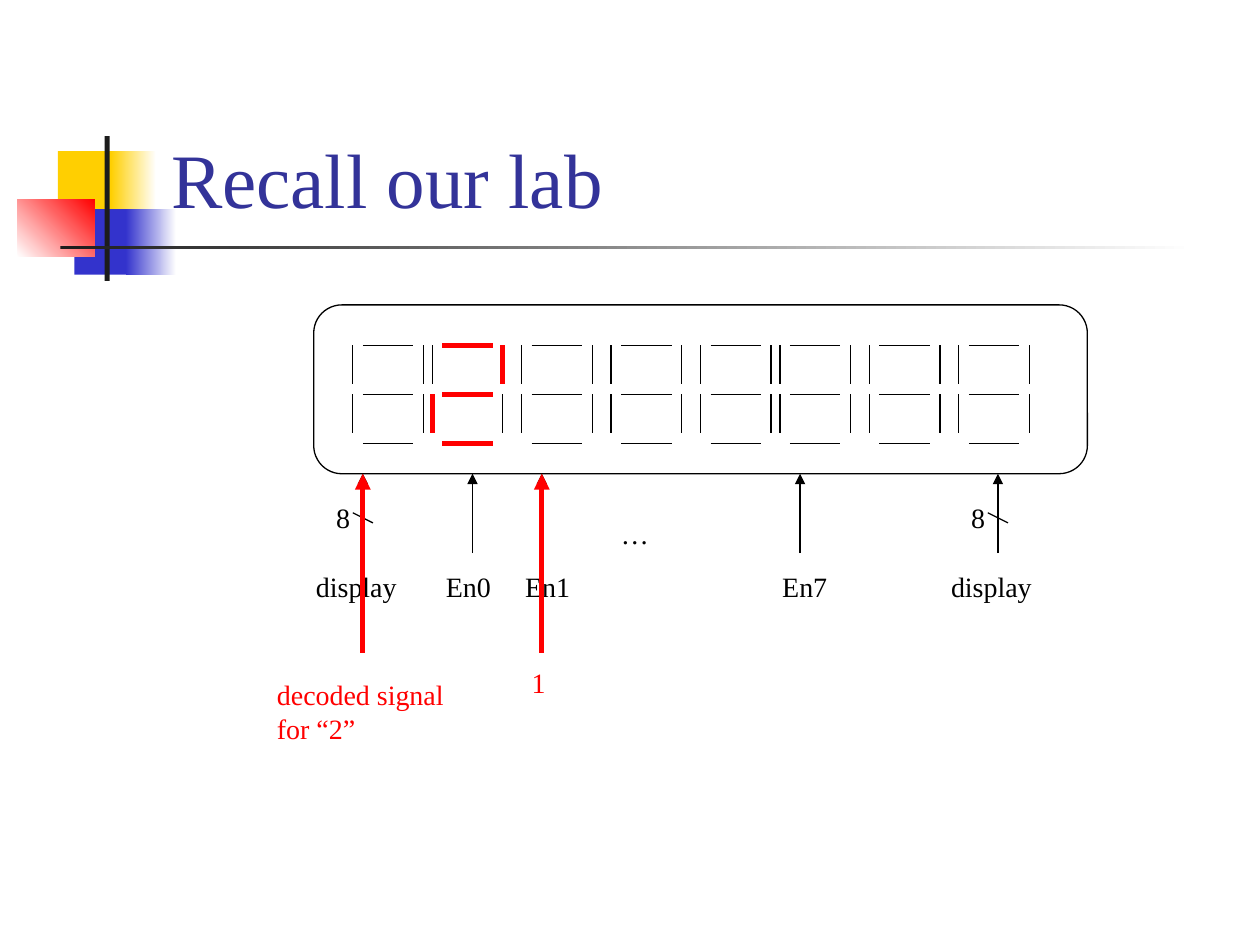
from typing import NamedTuple, Optional

from lxml.etree import SubElement
from pptx import Presentation
from pptx.dml.color import RGBColor
from pptx.enum.shapes import MSO_CONNECTOR, MSO_SHAPE
from pptx.enum.text import MSO_ANCHOR, MSO_AUTO_SIZE
from pptx.oxml.ns import qn
from pptx.slide import Slide
from pptx.util import Inches, Pt

COLORS = {
    "yellow": "FFCF01",
    "blue": "3333CC",
    "red": "FF0000",
    "charcoal": "1C1C1C",
    "white": "FFFFFF",
    "title": "333399",
    "black": "000000",
}
FONT = "Times New Roman"
THIN, THICK = 0.75, 3

DISPLAY_TOP, DISPLAY_HEIGHT = 2.42, 1.34
DISPLAY_BOTTOM = DISPLAY_TOP + DISPLAY_HEIGHT
DIGIT_TOP, ROW_PITCH = 2.74, 0.39
DIGIT_WIDTH, SEGMENT_INSET, UPRIGHT_LENGTH = 0.56, 0.08, 0.31
DIGIT_LEFTS = (2.8, 3.43, 4.14, 4.85, 5.56, 6.19, 6.9, 7.61)
LIT_DIGIT = 1
LIT_SEGMENTS = "abged"
SIGNAL_BOTTOM, HIGHLIGHT_BOTTOM = 4.39, 5.18
LABEL_TOP, LABEL_HEIGHT = 4.47, 0.37


class Block(NamedTuple):
    left: float
    top: float
    width: float
    height: float
    color: str
    fade_to: Optional[str] = None
    angle: float = 0


class Segment(NamedTuple):
    name: str
    x1: float
    y1: float
    x2: float
    y2: float


class Label(NamedTuple):
    text: str
    left: float
    top: float
    width: float
    height: float = LABEL_HEIGHT
    color: str = "black"


class Signal(NamedTuple):
    x: float
    name: str
    label_left: float
    label_width: float
    is_bus: bool = False


DECORATION = (
    Block(0.46, 1.2, 0.48, 0.52, "yellow"),
    Block(0.88, 1.2, 0.36, 0.52, "yellow", "white"),
    Block(0.59, 1.66, 0.46, 0.52, "blue"),
    Block(1, 1.66, 0.4, 0.52, "blue", "white"),
    Block(0.14, 1.58, 0.61, 0.46, "white", "red", 45),
    Block(0.83, 1.08, 0.04, 1.15, "charcoal"),
    Block(0.48, 1.95, 9, 0.03, "charcoal", "white"),
)
SIGNALS = (
    Signal(2.88, "display", 2.41, 0.86, is_bus=True),
    Signal(7.92, "display", 7.45, 0.86, is_bus=True),
    Signal(3.75, "En0", 3.44, 0.58),
    Signal(4.3, "En1", 4.07, 0.58),
    Signal(6.35, "En7", 6.11, 0.58),
)
HIGHLIGHTS = (
    (2.88, Label("decoded signal\nfor “2”", 2.1, 5.33, 1.54, 0.64, "red")),
    (4.3, Label("1", 4.12, 5.23, 0.31, color="red")),
)


def rgb(name: str) -> RGBColor:
    return RGBColor.from_string(COLORS[name])


def draw_block(slide: Slide, block: Block) -> None:
    shape = slide.shapes.add_shape(
        MSO_SHAPE.RECTANGLE, Inches(block.left), Inches(block.top),
        Inches(block.width), Inches(block.height))
    shape.shadow.inherit = False
    shape.line.fill.background()
    if block.fade_to is None:
        shape.fill.solid()
        shape.fill.fore_color.rgb = rgb(block.color)
        return
    shape.fill.gradient()
    shape.fill.gradient_angle = block.angle
    for stop, color in zip(shape.fill.gradient_stops, (block.color, block.fade_to)):
        stop.color.rgb = rgb(color)


def draw_line(slide: Slide, x1: float, y1: float, x2: float, y2: float,
              color: str = "black", width: float = THIN, arrow: bool = False) -> None:
    line = slide.shapes.add_connector(
        MSO_CONNECTOR.STRAIGHT, Inches(x1), Inches(y1), Inches(x2), Inches(y2))
    line.line.color.rgb = rgb(color)
    line.line.width = Pt(width)
    if arrow:
        SubElement(line.line._get_or_add_ln(), qn("a:tailEnd"), type="triangle")
    SubElement(line._element.spPr, qn("a:effectLst"))


def draw_label(slide: Slide, label: Label) -> None:
    box = slide.shapes.add_textbox(
        Inches(label.left), Inches(label.top), Inches(label.width), Inches(label.height))
    frame = box.text_frame
    frame.text = label.text
    frame.word_wrap = False
    frame.auto_size = MSO_AUTO_SIZE.SHAPE_TO_FIT_TEXT
    for paragraph in frame.paragraphs:
        paragraph.font.name = FONT
        paragraph.font.size = Pt(16)
        paragraph.font.color.rgb = rgb(label.color)


def draw_title(slide: Slide, text: str) -> None:
    box = slide.shapes.add_textbox(Inches(1.26), Inches(0.23), Inches(8.52), Inches(1.6))
    frame = box.text_frame
    frame.text = text
    frame.word_wrap = True
    frame.vertical_anchor = MSO_ANCHOR.BOTTOM
    font = frame.paragraphs[0].font
    font.name, font.size = FONT, Pt(44)
    font.color.rgb = rgb("title")


def digit_segments(left: float) -> list[Segment]:
    """Return the seven segments under their usual names, a to g."""
    right = left + DIGIT_WIDTH
    rows = [DIGIT_TOP + row * ROW_PITCH for row in range(3)]
    bars = [Segment(name, left + SEGMENT_INSET, y, right - SEGMENT_INSET, y)
            for name, y in zip("agd", rows)]
    uprights = [Segment(name, x, y, x, y + UPRIGHT_LENGTH)
                for names, y in zip(("fb", "ec"), rows)
                for name, x in zip(names, (left, right))]
    return bars + uprights


def draw_digit(slide: Slide, left: float, lit: str) -> None:
    for name, *ends in digit_segments(left):
        color, width = ("red", THICK) if name in lit else ("black", THIN)
        draw_line(slide, *ends, color, width)


def draw_display_frame(slide: Slide) -> None:
    frame = slide.shapes.add_shape(
        MSO_SHAPE.ROUNDED_RECTANGLE, Inches(2.49), Inches(DISPLAY_TOP),
        Inches(6.14), Inches(DISPLAY_HEIGHT))
    frame.shadow.inherit = False
    frame.fill.background()
    frame.line.color.rgb = rgb("black")
    frame.line.width = Pt(THIN)


def draw_signal(slide: Slide, signal: Signal) -> None:
    """Draw a labelled input arrow; a bus also gets a slash and its width."""
    draw_line(slide, signal.x, SIGNAL_BOTTOM, signal.x, DISPLAY_BOTTOM, arrow=True)
    if signal.is_bus:
        draw_line(slide, signal.x - 0.08, 4.07, signal.x + 0.08, 4.15)
        draw_label(slide, Label("8", signal.x - 0.31, 3.92, 0.31))
    draw_label(slide, Label(signal.name, signal.label_left, LABEL_TOP, signal.label_width))


def main() -> None:
    presentation = Presentation()
    presentation.slide_width, presentation.slide_height = Inches(10), Inches(7.5)
    slide = presentation.slides.add_slide(presentation.slide_layouts[6])

    for block in DECORATION:
        draw_block(slide, block)
    draw_title(slide, "Recall our lab")
    for index, left in enumerate(DIGIT_LEFTS):
        draw_digit(slide, left, LIT_SEGMENTS if index == LIT_DIGIT else "")
    draw_display_frame(slide)
    for signal in SIGNALS:
        draw_signal(slide, signal)
    draw_label(slide, Label("…", 4.83, 4.05, 0.42))
    for x, label in HIGHLIGHTS:
        draw_line(slide, x, HIGHLIGHT_BOTTOM, x, DISPLAY_BOTTOM, "red", THICK, arrow=True)
        draw_label(slide, label)

    presentation.save("out.pptx")


if __name__ == "__main__":
    main()
